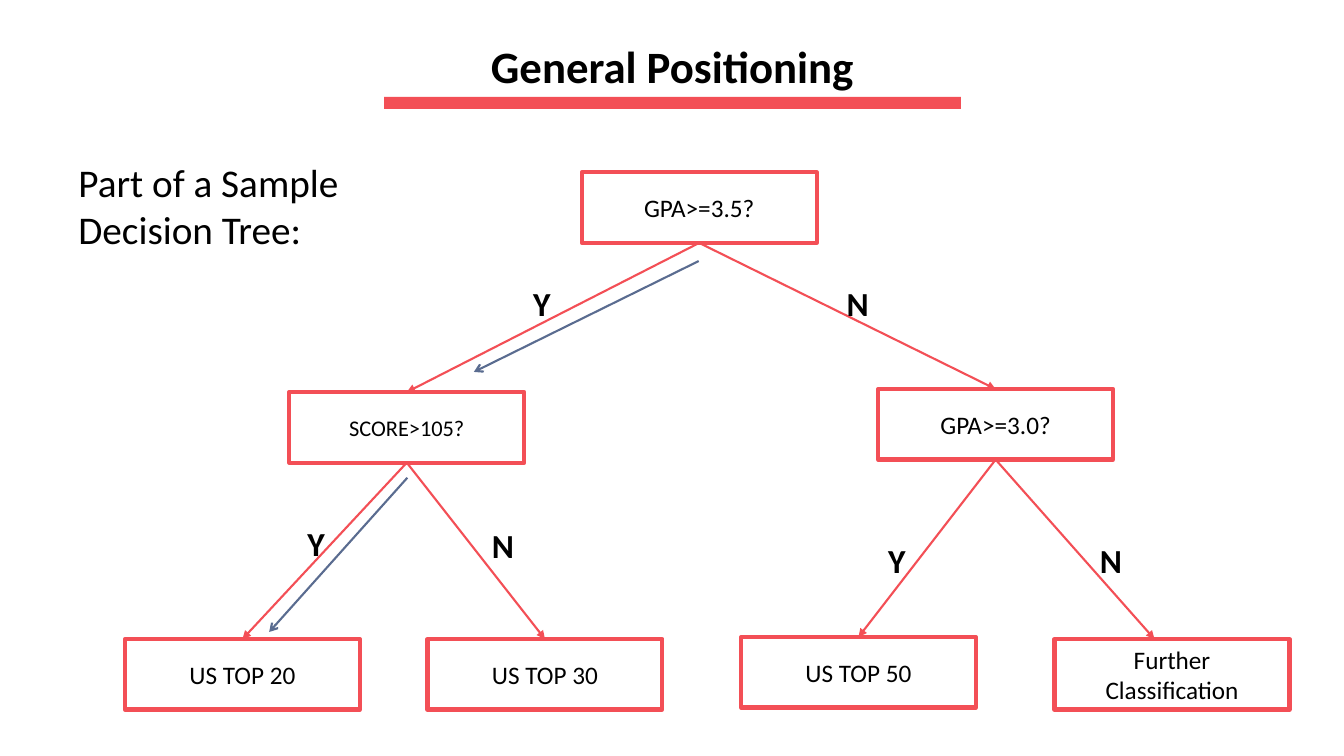
from dataclasses import dataclass

from lxml import etree
from pptx import Presentation
from pptx.dml.color import RGBColor
from pptx.enum.shapes import MSO_CONNECTOR, MSO_SHAPE
from pptx.enum.text import MSO_ANCHOR, MSO_AUTO_SIZE, PP_ALIGN
from pptx.oxml.ns import qn
from pptx.util import Emu, Pt

STRAIGHT = MSO_CONNECTOR.STRAIGHT
RECTANGLE = MSO_SHAPE.RECTANGLE
LEFT, CENTER = PP_ALIGN.LEFT, PP_ALIGN.CENTER
TOP, MIDDLE = MSO_ANCHOR.TOP, MSO_ANCHOR.MIDDLE
NO_AUTOFIT = MSO_AUTO_SIZE.NONE
TOP_SIDE, BOTTOM_SIDE = 0, 2
TITLE_ONLY = 5
EMU_PER_PX = 9144  # 100 px to the inch


@dataclass(frozen=True)
class Theme:
    font: str = "Calibri"
    ink: RGBColor = RGBColor(0x00, 0x00, 0x00)
    accent: RGBColor = RGBColor(0xF3, 0x4F, 0x56)
    path_taken: RGBColor = RGBColor(0x5A, 0x6C, 0x90)
    title: int = 32
    intro: int = 28
    answer: int = 24
    node: int = 18
    node_small: int = 16
    border: float = 3
    arrow: float = 1.5


THEME = Theme()
NODE_WIDTH, NODE_HEIGHT = 233, 70
NODE_INSET = 20
ANSWER_WIDTH, ANSWER_HEIGHT = 43, 50

# key: (text, left, top, type size)
NODES = {
    "gpa_high": ("GPA>=3.5?", 577, 171, THEME.node),
    "score": ("SCORE>105?", 287, 389, THEME.node_small),
    "gpa_mid": ("GPA>=3.0?", 871, 386, THEME.node),
    "top_20": ("US TOP 20", 124, 634, THEME.node),
    "top_30": ("US TOP 30", 424, 634, THEME.node),
    "top_50": ("US TOP 50", 735, 632, THEME.node),
    "further": ("Further Classification", 1046, 634, THEME.node),
}

# parent, child, answer, left and top of the answer
BRANCHES = [
    ("gpa_high", "score", "Y", 519, 276),
    ("gpa_high", "gpa_mid", "N", 830, 276),
    ("score", "top_20", "Y", 295, 514),
    ("score", "top_30", "N", 478, 516),
    ("gpa_mid", "top_50", "Y", 871, 531),
    ("gpa_mid", "further", "N", 1081, 531),
]

# child: x where its branch lands, if not at the middle of its top
OFF_CENTER_LANDINGS = {"further": 1145}

# start x, start y, end x, end y
SAMPLE_PATH = [(693, 259, 470, 369), (404, 474, 267, 627)]


def px(*lengths):
    return [Emu(length * EMU_PER_PX) for length in lengths]


def write_text(frame, text, size, bold=False, align=LEFT, anchor=TOP):
    frame.word_wrap = True
    frame.auto_size = NO_AUTOFIT
    frame.vertical_anchor = anchor
    paragraph = frame.paragraphs[0]
    paragraph.alignment = align
    run = paragraph.add_run()
    run.text = text
    run.font.name = THEME.font
    run.font.size = Pt(size)
    run.font.bold = bold
    run.font.color.rgb = THEME.ink


def add_label(slide, box, text, size, **text_format):
    label = slide.shapes.add_textbox(*px(*box))
    write_text(label.text_frame, text, size, **text_format)


def add_title(slide, box, text):
    title = slide.shapes.title
    title.left, title.top, title.width, title.height = px(*box)
    write_text(title.text_frame, text, THEME.title, bold=True, align=CENTER)


def add_title_bar(slide, box):
    bar = slide.shapes.add_shape(RECTANGLE, *px(*box))
    bar.shadow.inherit = False
    bar.fill.solid()
    bar.fill.fore_color.rgb = THEME.accent
    bar.line.fill.background()


def add_node(slide, text, left, top, size):
    node = slide.shapes.add_shape(
        RECTANGLE, *px(left, top, NODE_WIDTH, NODE_HEIGHT))
    node.shadow.inherit = False
    node.fill.background()
    node.line.color.rgb = THEME.accent
    node.line.width = Pt(THEME.border)
    frame = node.text_frame
    frame.margin_left, frame.margin_right = px(NODE_INSET, NODE_INSET)
    frame.margin_top, frame.margin_bottom = px(0, 0)
    write_text(frame, text, size, align=CENTER, anchor=MIDDLE)
    return node


def add_arrow(slide, ends, color, head):
    arrow = slide.shapes.add_connector(STRAIGHT, *px(*ends))
    arrow.line.color.rgb = color
    arrow.line.width = Pt(THEME.arrow)
    etree.SubElement(arrow.line._get_or_add_ln(), qn("a:tailEnd"), type=head)
    etree.SubElement(arrow._element.spPr, qn("a:effectLst"))
    return arrow


def add_branch(slide, parent, child, landing=None):
    """Join the parent's bottom to the child's top, or to x landing on it."""
    arrow = add_arrow(slide, (0, 0, 0, 0), THEME.accent, "triangle")
    arrow.begin_connect(parent, BOTTOM_SIDE)
    if landing is None:
        arrow.end_connect(child, TOP_SIDE)
    else:
        [arrow.end_x] = px(landing)
        arrow.end_y = child.top


def main():
    deck = Presentation()
    deck.slide_width, deck.slide_height = px(1333, 750)
    slide = deck.slides.add_slide(deck.slide_layouts[TITLE_ONLY])

    add_title_bar(slide, (381, 96, 572, 12))
    add_title(slide, (381, 33, 572, 64), "General Positioning")
    add_label(slide, (68, 152, 397, 104), "Part of a Sample Decision Tree:",
              THEME.intro)

    nodes = {key: add_node(slide, *node) for key, node in NODES.items()}
    for parent, child, answer, left, top in BRANCHES:
        add_branch(slide, nodes[parent], nodes[child],
                   OFF_CENTER_LANDINGS.get(child))
        add_label(slide, (left, top, ANSWER_WIDTH, ANSWER_HEIGHT), answer,
                  THEME.answer, bold=True)
    for ends in SAMPLE_PATH:
        add_arrow(slide, ends, THEME.path_taken, "arrow")

    deck.save("out.pptx")


if __name__ == "__main__":
    main()
